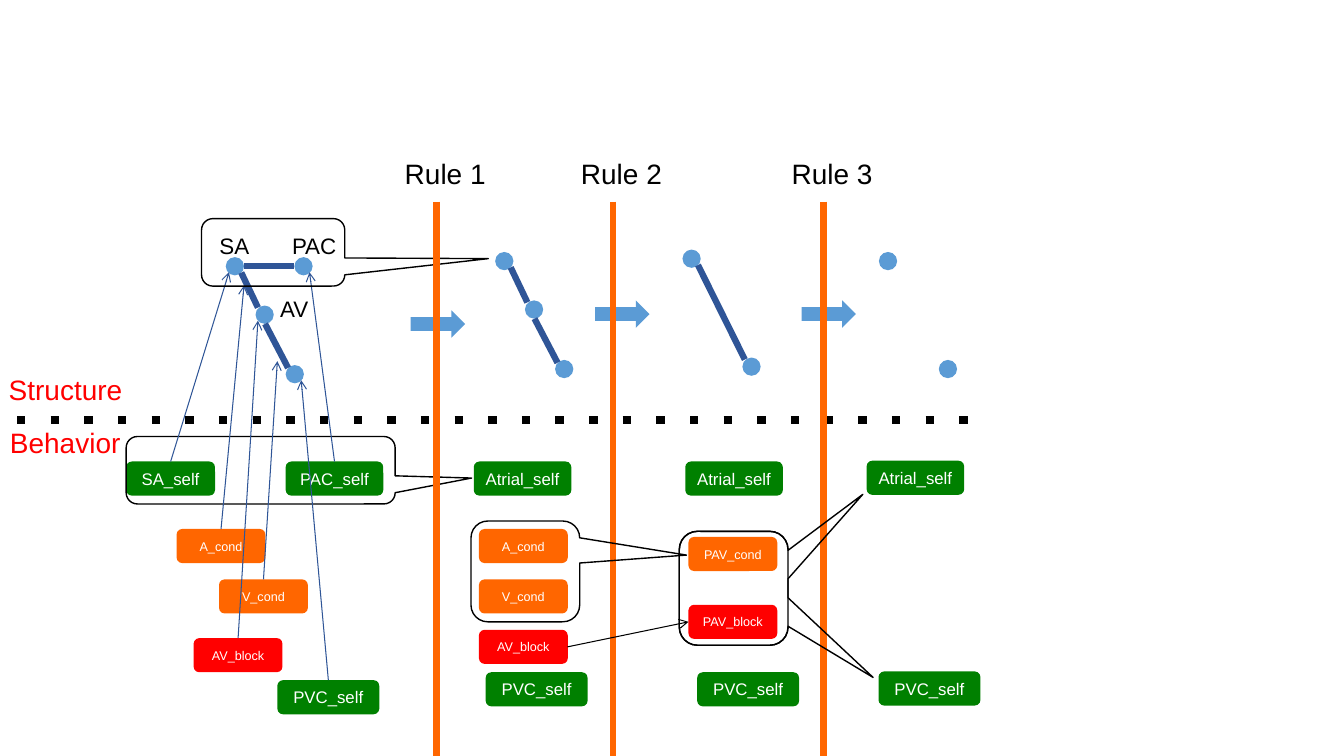
from lxml import etree
from pptx import Presentation
from pptx.dml.color import RGBColor
from pptx.enum.shapes import MSO_CONNECTOR, MSO_SHAPE as SHAPE
from pptx.enum.text import MSO_ANCHOR, MSO_AUTO_SIZE, PP_ALIGN
from pptx.oxml.ns import qn
from pptx.util import Cm, Pt

FONT = "Arial"
BLACK, WHITE, RED, ORANGE, GREEN = "000000", "FFFFFF", "FF0000", "FF6600", "008000"
NODE_BLUE, EDGE_BLUE = "5B9BD5", "2F5597"
NODE_SIZE = 0.46
NODES = {"SA": (0, 0), "AV": (0.75, 1.22), "V": (1.51, 2.72), "PAC": (1.73, 0)}
EDGES = {
    "SA-PAC": (0.46, 0.23, 1.73, 0.23),
    "SA-AV": (0.39, 0.39, 0.81, 1.27),
    "AV-V": (0.99, 1.68, 1.57, 2.79),
    "SA-V": (0.39, 0.39, 1.57, 2.77),
}
BOX_HEIGHT = 0.86
BOX_WIDTHS = {"PAC_self": 2.46, "Atrial_self": 2.46, "PVC_self": 2.57}
BOX_STYLES = {"self": (GREEN, 12), "cond": (ORANGE, 9), "block": (RED, 9)}


def color(value):
    return RGBColor.from_string(value)


def add_shape(s, kind, x, y, w, h, fill=None):
    sp = s.shapes.add_shape(kind, Cm(x), Cm(y), Cm(w), Cm(h))
    sp.shadow.inherit = False
    if fill:
        sp.fill.solid()
        sp.fill.fore_color.rgb = color(fill)
        sp.line.fill.background()
    else:
        sp.fill.background()
        sp.line.color.rgb = color(BLACK)
        sp.line.width = Pt(1)
    return sp


def add_line(s, x1, y1, x2, y2, line_color, width, dash=None, arrow=False):
    cn = s.shapes.add_connector(MSO_CONNECTOR.STRAIGHT, Cm(x1), Cm(y1), Cm(x2), Cm(y2))
    cn.line.color.rgb = color(line_color)
    cn.line.width = Pt(width)
    ln = cn.line._get_or_add_ln()
    if dash:
        etree.SubElement(ln, qn("a:prstDash"), val=dash)
    if arrow:
        etree.SubElement(ln, qn("a:tailEnd"), type="arrow")
    etree.SubElement(cn._element.spPr, qn("a:effectLst"))


def write(sp, text, size, text_color):
    p = sp.text_frame.paragraphs[0]
    p.text = text
    font = p.runs[0].font
    font.name, font.size = FONT, Pt(size)
    font.color.rgb = color(text_color)
    return p


def add_label(s, text, x, y, w, h, size, text_color=BLACK):
    tb = s.shapes.add_textbox(Cm(x), Cm(y), Cm(w), Cm(h))
    tb.text_frame.word_wrap = False
    tb.text_frame.auto_size = MSO_AUTO_SIZE.SHAPE_TO_FIT_TEXT
    write(tb, text, size, text_color)


def add_callout(s, x, y, w, h, tip_x, tip_y):
    sp = add_shape(s, SHAPE.ROUNDED_RECTANGULAR_CALLOUT, x, y, w, h)
    sp.adjustments[0], sp.adjustments[1] = tip_x, tip_y


def add_structure(s, x, y, nodes, edges):
    for name in nodes:
        dx, dy = NODES[name]
        add_shape(s, SHAPE.OVAL, x + dx, y + dy, NODE_SIZE, NODE_SIZE, NODE_BLUE)
    for name in edges:
        x1, y1, x2, y2 = EDGES[name]
        add_line(s, x + x1, y + y1, x + x2, y + y2, EDGE_BLUE, 4.5)


def add_behavior(s, x, y, boxes, callouts=()):
    for name, (dx, dy) in boxes.items():
        fill, size = BOX_STYLES[name.split("_")[1]]
        width = BOX_WIDTHS.get(name, 2.24)
        sp = add_shape(s, SHAPE.ROUNDED_RECTANGLE, x + dx, y + dy, width, BOX_HEIGHT, fill)
        sp.text_frame.vertical_anchor = MSO_ANCHOR.MIDDLE
        write(sp, name, size, WHITE).alignment = PP_ALIGN.CENTER
    for dx, dy, w, h, tip_x, tip_y in callouts:
        add_callout(s, x + dx, y + dy, w, h, tip_x, tip_y)


def add_initial_links(s, x, y, behavior_x, behavior_y, boxes, targets):
    for name, (dx, dy) in targets.items():
        box_x, box_y = boxes[name]
        middle = behavior_x + box_x + BOX_WIDTHS.get(name, 2.24) / 2
        add_line(s, middle, behavior_y + box_y, x + dx, y + dy, EDGE_BLUE, 0.75, arrow=True)


def add_initial_labels(s, x, y):
    add_label(s, "SA", x - 0.41, y - 0.76, 1.7, 1.27, 16)
    add_label(s, "PAC", x + 1.42, y - 0.76, 2.21, 1.27, 16)
    add_label(s, "AV", x + 1.12, y + 0.84, 1.22, 0.94, 16)
    add_callout(s, x - 0.61, y - 0.97, 3.61, 1.7, 1.502, 0.093)


def add_divider(s, x, y, width):
    add_line(s, x + 0.43, y, x + width, y, BLACK, 6, dash="dot")
    add_label(s, "Structure", x - 0.03, y - 1.32, 3.4, 1.12, 20, RED)
    add_label(s, "Behavior", x, y, 3.33, 1.12, 20, RED)


def add_rule(s, x, y, name, arrow_dx, arrow_dy):
    add_shape(s, SHAPE.RIGHT_ARROW, x + arrow_dx, y + arrow_dy, 1.37, 0.69, NODE_BLUE)
    add_line(s, x, y + 1.27, x, y + 15.24, ORANGE, 4.5)
    add_label(s, name, x - 1.05, y, 2.57, 1.12, 20)


prs = Presentation()
prs.slide_width, prs.slide_height = Cm(33.87), Cm(19.05)
s = prs.slides.add_slide(prs.slide_layouts[6])

initial_boxes = {
    "SA_self": (0, 0), "PAC_self": (4.02, 0), "PVC_self": (3.81, 5.51),
    "V_cond": (2.34, 2.97), "A_cond": (1.27, 1.7), "AV_block": (1.7, 4.45),
}
link_targets = {
    "SA_self": (0.08, 0.38), "PAC_self": (2.11, 0.38), "A_cond": (0.46, 0.71),
    "AV_block": (0.81, 1.6), "V_cond": (1.3, 2.62), "PVC_self": (1.9, 3.1),
}
self_boxes = {"Atrial_self": (0, 0), "PVC_self": (0.3, 5.31)}
atrial_boxes = {**self_boxes, "V_cond": (0.13, 2.97), "A_cond": (0.13, 1.7), "AV_block": (0.13, 4.24)}
merged_boxes = {**self_boxes, "PAV_cond": (0.08, 1.9), "PAV_block": (0.08, 3.61)}
merged_frame = (-0.15, 1.76, 2.74, 2.87)

add_behavior(s, 3.18, 11.63, initial_boxes, [(0, -0.63, 6.78, 1.7, 0.784, 0.116)])
add_structure(s, 5.69, 6.48, NODES, ["SA-PAC", "SA-AV", "AV-V"])
add_initial_links(s, 5.69, 6.48, 3.18, 11.63, initial_boxes, link_targets)
add_initial_labels(s, 5.69, 6.48)
add_divider(s, 0, 10.59, 24.77)

rules = [(11, -0.65, 4.01), (15.44, -0.44, 3.76), (20.75, -0.55, 3.76)]
for number, (x, arrow_dx, arrow_dy) in enumerate(rules, 1):
    add_rule(s, x, 3.81, f"Rule {number}", arrow_dx, arrow_dy)

add_structure(s, 12.48, 6.35, ["SA", "AV", "V"], ["SA-AV", "AV-V"])
add_behavior(s, 11.94, 11.63, atrial_boxes, [(-0.07, 1.5, 2.74, 2.54, 1.482, -0.162)])

add_structure(s, 17.2, 6.29, ["SA", "V"], ["SA-V"])
add_behavior(s, 17.27, 11.63, merged_boxes,
             [(*merged_frame, 1.283, 0.783), (*merged_frame, 1.188, -0.825)])
add_line(s, 14.3, 16.3, 17.35, 15.67, BLACK, 0.75, arrow=True)

add_structure(s, 22.15, 6.35, ["SA", "V"], [])
add_behavior(s, 21.84, 11.61, self_boxes)

prs.save("out.pptx")
